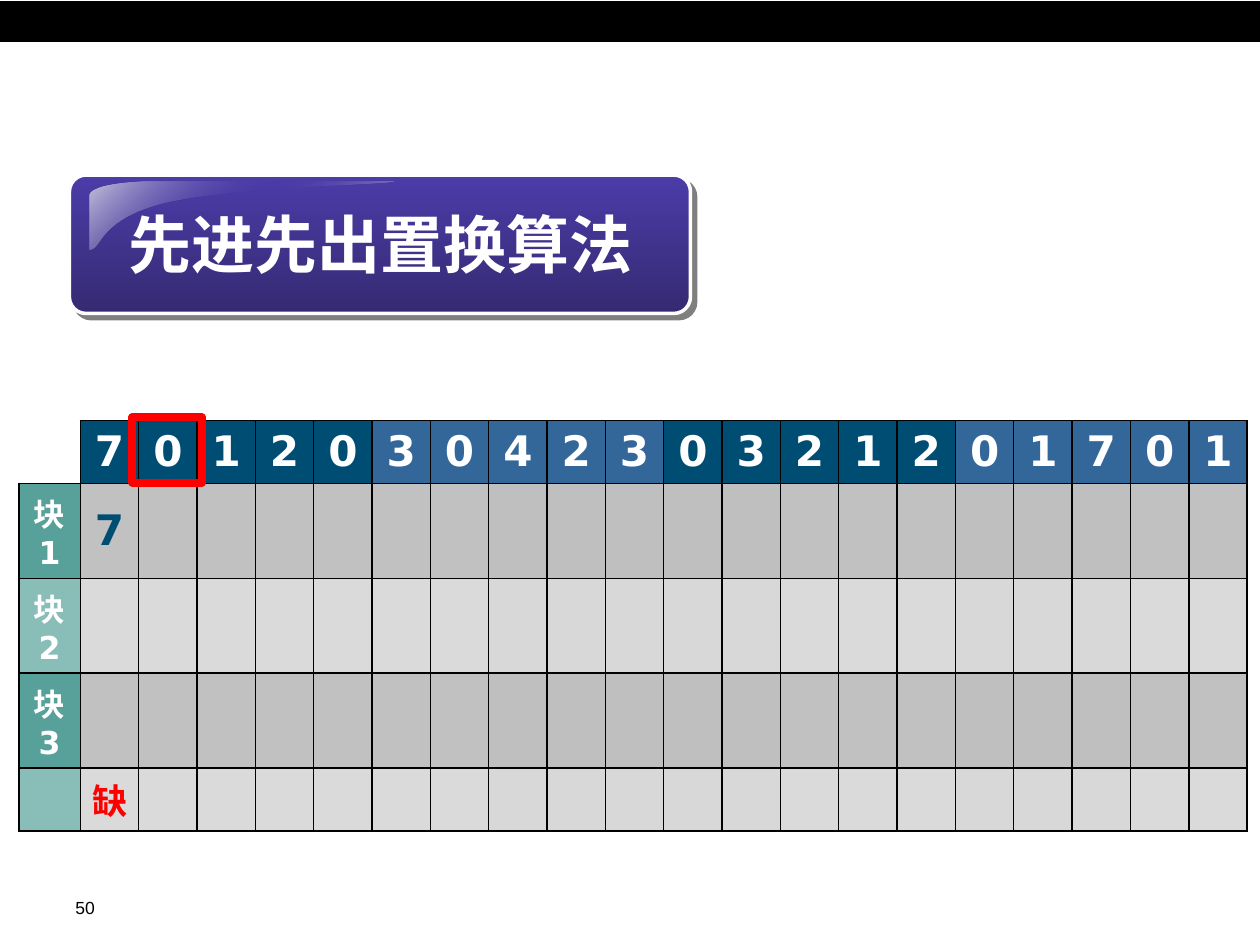
"""Build the slide on the first-in first-out page replacement method."""
from dataclasses import dataclass

from lxml import etree
from pptx import Presentation
from pptx.dml.color import RGBColor
from pptx.enum.shapes import MSO_SHAPE
from pptx.enum.text import MSO_ANCHOR, PP_ALIGN
from pptx.oxml.ns import qn
from pptx.util import Cm, Pt

RECT, ROUND = MSO_SHAPE.RECTANGLE, MSO_SHAPE.ROUNDED_RECTANGLE
MIDDLE, LEFT, CENTER = MSO_ANCHOR.MIDDLE, PP_ALIGN.LEFT, PP_ALIGN.CENTER
HUES = {
    "black": "000000", "white": "FFFFFF", "rim": "FEFEFE", "red": "FF0000",
    "navy": "004D74", "blue": "336699", "teal": "57A19A", "grey": "B2B2B2",
    "violet": "4B3CA8", "dusk": "352A72", "gloss": "C4C2DA",
}
PAGES = "70120304230321201701"
DENSE = {*range(8, 13), *range(16, 19)}


@dataclass
class Box:
    left: float
    top: float
    width: float
    height: float

    def place(self) -> tuple:
        return Cm(self.left), Cm(self.top), Cm(self.width), Cm(self.height)


@dataclass
class Type:
    size: int
    hue: str
    font: str = "DejaVu Sans"
    bold: bool = True
    align: PP_ALIGN = CENTER


@dataclass
class Band:
    label: str
    first: str
    style: Type
    height: float
    dark: bool


@dataclass
class Stop:
    place: int
    hue: str
    alpha: int = 100


BANDS = [
    Band("块1", "7", Type(24, "navy"), 1.91, True),
    Band("块2", "", Type(24, "navy"), 1.91, False),
    Band("块3", "", Type(24, "navy"), 1.91, True),
    Band("", "缺", Type(20, "red"), 1.27, False),
]


def tone(hue: str) -> RGBColor:
    return RGBColor.from_string(HUES[hue])


def add_hue(node, hue: str, alpha: int = 100) -> None:
    color = etree.SubElement(node, qn("a:srgbClr"), val=HUES[hue])
    if alpha < 100:
        etree.SubElement(color, qn("a:alpha"), val=str(alpha * 1000))


def write(frame, text: str, style: Type) -> None:
    frame.text = text
    line = frame.paragraphs[0]
    line.alignment = style.align
    for run in line.runs:
        run.font.size = Pt(style.size)
        run.font.name = style.font
        run.font.bold = style.bold
        run.font.color.rgb = tone(style.hue)


def add_text(shapes, box: Box, text: str, style: Type) -> None:
    frame = shapes.add_textbox(*box.place()).text_frame
    frame.word_wrap = True
    frame.vertical_anchor = MIDDLE
    write(frame, text, style)


def add_box(shapes, kind, box: Box, hue: str, width: float):
    shape = shapes.add_shape(kind, *box.place())
    shape.shadow.inherit = False
    shape.fill.background()
    shape.line.color.rgb = tone(hue)
    shape.line.width = Pt(width)
    return shape


def blend(shape, angle: int, stops: list[Stop]) -> None:
    shape.fill.gradient()
    shape.fill.gradient_angle = 360 - angle
    group = next(shape.element.iter(qn("a:gsLst")))
    for old in list(group):
        group.remove(old)
    for stop in stops:
        node = etree.SubElement(group, qn("a:gs"), pos=str(stop.place * 1000))
        add_hue(node, stop.hue, stop.alpha)


def cast(shape) -> None:
    node = next(shape.element.iter(qn("a:effectLst")))
    shade = etree.SubElement(node, qn("a:outerShdw"), dist=str(Pt(4.2)),
                             dir="2700000", algn="ctr", rotWithShape="0")
    add_hue(shade, "black", 50)


def curve(*knots: tuple, steps: int = 16) -> list[tuple]:
    points = []
    for step in range(1, steps + 1):
        t = step / steps
        parts = ((1 - t) ** 3, 3 * t * (1 - t) ** 2, 3 * t * t * (1 - t), t ** 3)
        points.append(tuple(Cm(sum(p * k[axis] for p, k in zip(parts, knots)))
                            for axis in (0, 1)))
    return points


def border(cell, sides: str) -> None:
    props = cell._tc.get_or_add_tcPr()
    for side in "LRTB":
        line = etree.SubElement(props, qn(f"a:ln{side}"), w=str(Pt(1)))
        if side in sides:
            add_hue(etree.SubElement(line, qn("a:solidFill")), "black")
        else:
            etree.SubElement(line, qn("a:noFill"))


def paint(cell, text: str, style: Type, hue: str, alpha: int = 100) -> None:
    border(cell, "LRTB")
    fill = etree.SubElement(cell._tc.get_or_add_tcPr(), qn("a:solidFill"))
    add_hue(fill, hue, alpha)
    cell.vertical_anchor = MIDDLE
    write(cell.text_frame, text, style)


def add_grid(shapes, box: Box, side: float) -> None:
    count = len(PAGES)
    table = shapes.add_table(len(BANDS) + 1, count + 1, *box.place()).table
    table.first_row = table.horz_banding = False
    for index, column in enumerate(table.columns):
        column.width = Cm((box.width - side) / count if index else side)
    table.rows[0].height = Cm(1.27)
    border(table.cell(0, 0), "RB")
    table.cell(0, 0).fill.background()
    for col, page in enumerate(PAGES, 1):
        hue = "blue" if (col - 1) // 5 % 2 else "navy"
        paint(table.cell(0, col), page, Type(24, "white"), hue)
    for row, band in enumerate(BANDS, 1):
        table.rows[row].height = Cm(band.height)
        paint(table.cell(row, 0), band.label, Type(18, "white"), "teal",
              100 if band.dark else 70)
        for col in range(1, count + 1):
            alpha = (80 if band.dark else 48) + 2 * (col in DENSE)
            paint(table.cell(row, col), band.first if col == 1 else "",
                  band.style, "grey", alpha)


def add_title(shapes) -> None:
    group = shapes.add_group_shape().shapes
    plate = add_box(group, ROUND, Box(1.4, 3.53, 12.52, 2.79), "rim", 2)
    plate.adjustments[0] = 0.12
    blend(plate, 90, [Stop(0, "violet"), Stop(100, "dusk")])
    cast(plate)
    shine = group.build_freeform(Cm(3.05), Cm(3.66), 1.0)
    shine.add_line_segments(
        curve((3.05, 3.66), (2.36, 3.66), (1.8, 3.78), (1.8, 3.94))
        + [(Cm(1.8), Cm(5.03))]
        + curve((1.8, 5.03), (2.08, 5.05), (1.93, 4.39), (3.48, 4.06))
        + curve((3.48, 4.06), (5.05, 3.76), (8.03, 3.73), (7.95, 3.66)))
    gloss = shine.convert_to_shape()
    gloss.shadow.inherit = False
    gloss.line.fill.background()
    blend(gloss, 45, [Stop(0, "gloss"), Stop(50, "violet", 0), Stop(100, "gloss")])
    add_text(group, Box(1.63, 4.01, 12.09, 1.78), "先进先出置换算法",
             Type(36, "white", "Arial"))


def main() -> None:
    deck = Presentation()
    deck.slide_width, deck.slide_height = Cm(25.4), Cm(19.05)
    shapes = deck.slides.add_slide(deck.slide_layouts[6]).shapes
    bar = add_box(shapes, RECT, Box(0, 0.03, 25.4, 0.81), "black", 0.75)
    bar.fill.solid()
    bar.fill.fore_color.rgb = tone("black")
    add_text(shapes, Box(1.27, 17.98, 1.7, 0.64), "50",
             Type(10, "black", "Arial", False, LEFT))
    add_grid(shapes, Box(0.38, 8.48, 24.77, 8.27), 1.24)
    add_box(shapes, RECT, Box(2.67, 8.41, 1.4, 1.32), "red", 4.5)
    add_title(shapes)
    deck.save("out.pptx")


if __name__ == "__main__":
    main()
